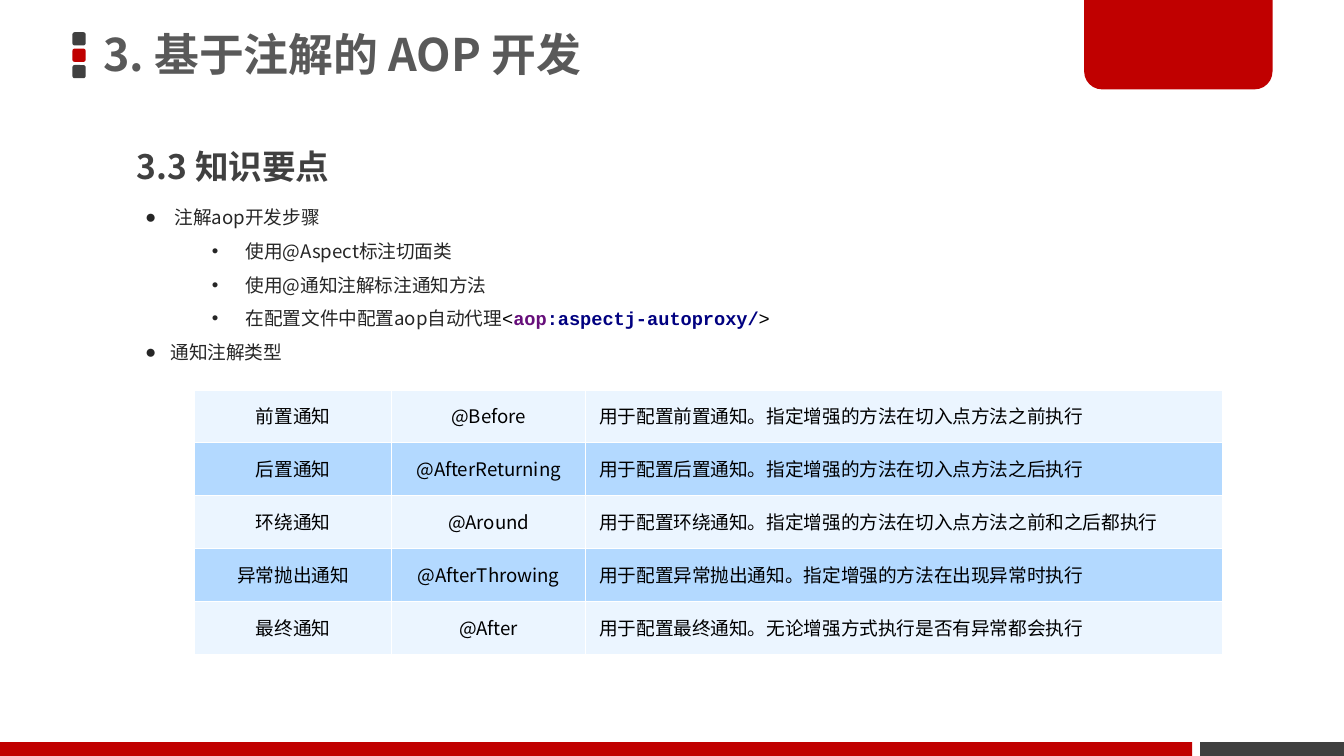
import dataclasses

import pptx
import pptx.dml.color
import pptx.enum.shapes
import pptx.enum.text
import pptx.oxml.ns
import pptx.util
from lxml import etree

Cm = pptx.util.Cm
Pt = pptx.util.Pt
SHAPE = pptx.enum.shapes.MSO_SHAPE
ALIGN = pptx.enum.text.PP_ALIGN
ANCHOR = pptx.enum.text.MSO_ANCHOR
qn = pptx.oxml.ns.qn


@dataclasses.dataclass(frozen=True)
class Theme:
    font: str = "Noto Sans CJK SC"
    mono: str = "Courier New"
    red: str = "C00000"
    dark: str = "404040"
    title: str = "595959"
    text: str = "262626"
    black: str = "000000"
    white: str = "FFFFFF"
    tag_prefix: str = "660E7A"
    tag_name: str = "000080"
    bands: tuple = ("EBF5FF", "B3D9FF")
    title_size: int = 24
    heading_size: int = 18
    body_size: int = 10


THEME = Theme()

STEPS = [
    (0, [(" 注解aop开发步骤", "text")]),
    (1, [("使用@Aspect标注切面类", "text")]),
    (1, [("使用@通知注解标注通知方法", "text")]),
    (1, [("在配置文件中配置aop自动代理", "text"), ("<", "bracket"), ("aop", "prefix"),
         (":aspectj-autoproxy/", "tag"), (">", "bracket")]),
    (0, [("通知注解类型", "text")]),
]
# style: font, colour, bold
RUN_STYLES = {
    "text": (THEME.font, THEME.text, False),
    "bracket": (THEME.mono, THEME.black, False),
    "prefix": (THEME.mono, THEME.tag_prefix, True),
    "tag": (THEME.mono, THEME.tag_name, True),
}
# level: bullet, left margin, hanging indent
BULLETS = {0: ("●", Cm(0.48), Cm(0.48)), 1: ("•", Cm(1.9), Cm(0.64))}

ADVICE_ROWS = [
    ("前置通知", "@Before", "用于配置前置通知。指定增强的方法在切入点方法之前执行"),
    ("后置通知", "@AfterReturning", "用于配置后置通知。指定增强的方法在切入点方法之后执行"),
    ("环绕通知", "@Around", "用于配置环绕通知。指定增强的方法在切入点方法之前和之后都执行"),
    ("异常抛出通知", "@AfterThrowing", "用于配置异常抛出通知。指定增强的方法在出现异常时执行"),
    ("最终通知", "@After", "用于配置最终通知。无论增强方式执行是否有异常都会执行"),
]


def rgb(value):
    return pptx.dml.color.RGBColor.from_string(value)


def add_run(p, text, size, color, bold=False, font=THEME.font):
    r = p.add_run()
    r.text = text
    r.font.size = Pt(size)
    r.font.bold = bold
    r.font.name = font
    r.font.color.rgb = rgb(color)
    ea = etree.SubElement(r.font._element, qn("a:ea"))
    ea.set("typeface", THEME.font)


def add_block(slide, kind, box, color):
    sp = slide.shapes.add_shape(kind, *box)
    sp.shadow.inherit = False
    sp.fill.solid()
    sp.fill.fore_color.rgb = rgb(color)
    sp.line.fill.background()
    return sp


def place(sp, box):
    sp.left, sp.top, sp.width, sp.height = box


def add_marker(slide, left, top, size, pitch):
    """Stack three small rounded squares beside the title."""
    for i, color in enumerate((THEME.dark, THEME.red, THEME.dark)):
        add_block(slide, SHAPE.ROUNDED_RECTANGLE, (left, top + i * pitch, size, size), color)


def add_corner_tab(slide, box):
    sp = add_block(slide, SHAPE.ROUND_2_SAME_RECTANGLE, box, THEME.red)
    sp.adjustments[0] = 0
    sp.adjustments[1] = 0.2


def add_footer(slide, left, top, width, height):
    red_width, gap = Cm(22.53), Cm(0.15)
    add_block(slide, SHAPE.RECTANGLE, (left, top, red_width, height), THEME.red)
    rest = red_width + gap
    add_block(slide, SHAPE.RECTANGLE, (left + rest, top, width - rest, height), THEME.dark)


def fill_title(slide, box):
    sp = slide.shapes.title
    place(sp, box)
    tf = sp.text_frame
    tf.auto_size = pptx.enum.text.MSO_AUTO_SIZE.NONE
    tf.vertical_anchor = ANCHOR.MIDDLE
    tf.margin_left = tf.margin_right = Cm(0.2)
    tf.margin_top = tf.margin_bottom = Cm(0.1)
    p = tf.paragraphs[0]
    p.alignment = ALIGN.LEFT
    p.line_spacing = 0.9
    add_run(p, "3. 基于注解的 AOP 开发", THEME.title_size, THEME.title, True)


def add_heading(slide, box):
    tf = slide.shapes.add_textbox(*box).text_frame
    tf.word_wrap = True
    p = tf.paragraphs[0]
    p.line_spacing = 1.5
    add_run(p, "3.3 知识要点", THEME.heading_size, THEME.dark, True)


def set_bullet(p, char, margin, hanging):
    pPr = p._p.get_or_add_pPr()
    pPr.set("marL", str(margin))
    pPr.set("indent", str(-hanging))
    color = etree.SubElement(pPr, qn("a:buClr"))
    etree.SubElement(color, qn("a:srgbClr")).set("val", THEME.text)
    etree.SubElement(pPr, qn("a:buChar")).set("char", char)


def fill_steps(slide, box):
    sp = slide.placeholders[1]
    place(sp, box)
    tf = sp.text_frame
    tf.auto_size = pptx.enum.text.MSO_AUTO_SIZE.NONE
    for i, (level, runs) in enumerate(STEPS):
        p = tf.add_paragraph() if i else tf.paragraphs[0]
        p.level = level
        p.line_spacing = 1.5
        p.space_before = Pt(0)
        set_bullet(p, *BULLETS[level])
        for text, style in runs:
            font, color, bold = RUN_STYLES[style]
            add_run(p, text, THEME.body_size, color, bold, font)


def set_borders(cell, top_width):
    tcPr = cell._tc.get_or_add_tcPr()
    for side in "LRTB":
        ln = etree.SubElement(tcPr, qn(f"a:ln{side}"))
        ln.set("w", str(Pt(top_width if side == "T" else 0.45)))
        fill = etree.SubElement(ln, qn("a:solidFill"))
        etree.SubElement(fill, qn("a:srgbClr")).set("val", THEME.white)


def add_advice_table(slide, left, top, col_widths, row_height):
    table = slide.shapes.add_table(len(ADVICE_ROWS), len(col_widths), left, top,
                                   sum(col_widths), row_height * len(ADVICE_ROWS)).table
    table.first_row = table.horz_banding = False
    for col, width in zip(table.columns, col_widths):
        col.width = width
    for i, row in enumerate(ADVICE_ROWS):
        for j, text in enumerate(row):
            cell = table.cell(i, j)
            set_borders(cell, 0.45 if i else 1.47)
            cell.fill.solid()
            cell.fill.fore_color.rgb = rgb(THEME.bands[i % 2])
            cell.vertical_anchor = ANCHOR.MIDDLE
            p = cell.text_frame.paragraphs[0]
            p.alignment = ALIGN.LEFT if j == 2 else ALIGN.CENTER
            add_run(p, text, THEME.body_size, THEME.black)


def main():
    prs = pptx.Presentation()
    prs.slide_width, prs.slide_height = Cm(25.4), Cm(14.29)
    slide = prs.slides.add_slide(prs.slide_layouts[1])
    add_marker(slide, Cm(1.37), Cm(0.61), Cm(0.25), Cm(0.31))
    footer_height = Cm(0.26)
    add_footer(slide, 0, prs.slide_height - footer_height, prs.slide_width, footer_height)
    add_corner_tab(slide, (Cm(20.49), 0, Cm(3.56), Cm(1.69)))
    fill_title(slide, (Cm(1.75), Cm(-0.05), Cm(14.96), Cm(2.26)))
    add_heading(slide, (Cm(2.34), Cm(2.26), Cm(9.75), Cm(1.4)))
    fill_steps(slide, (Cm(2.49), Cm(3.56), Cm(19.61), Cm(10.44)))
    add_advice_table(slide, Cm(3.68), Cm(7.36), (Cm(3.72), Cm(3.67), Cm(12.04)), Cm(1))
    prs.save("out.pptx")


if __name__ == "__main__":
    main()
